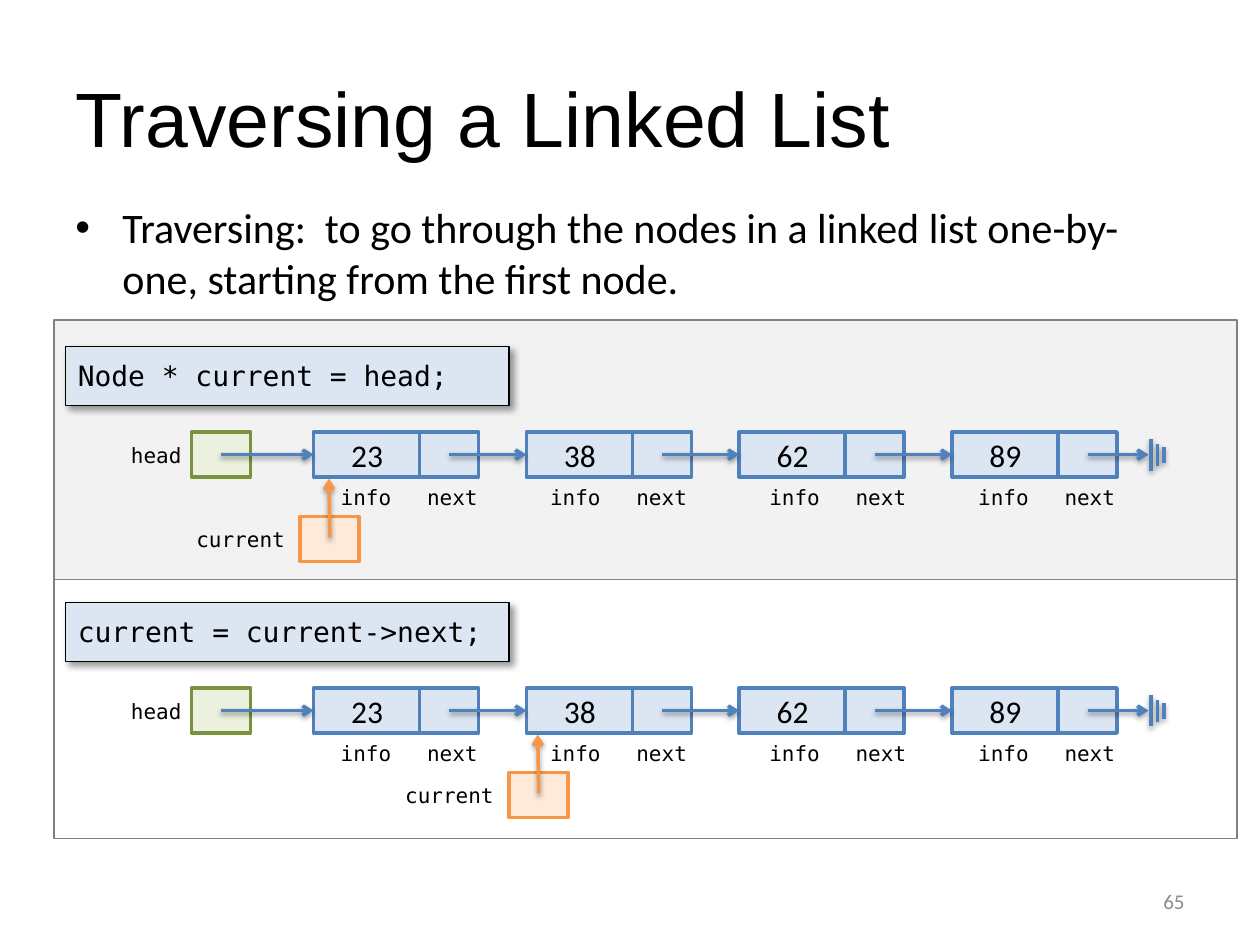
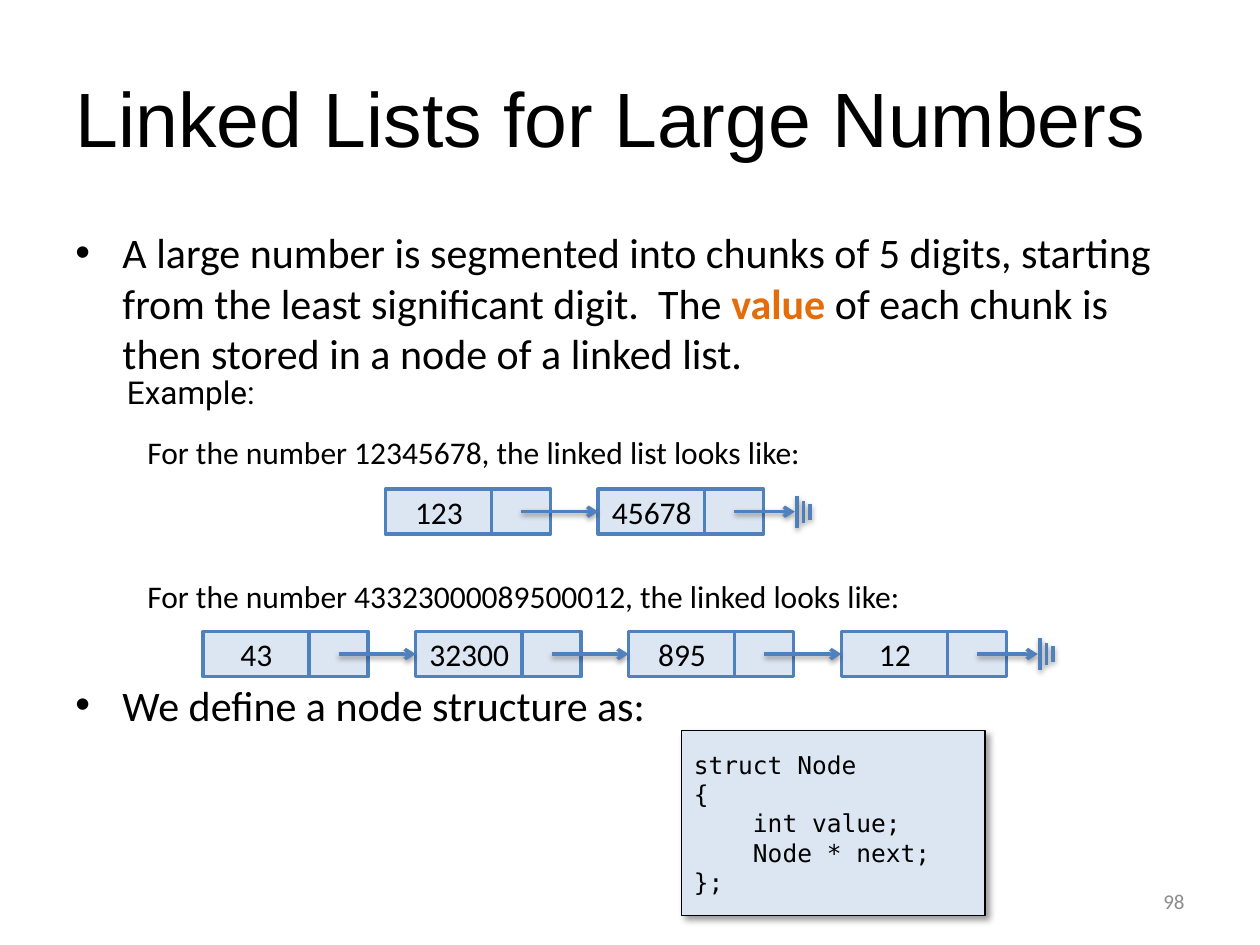
from lxml import etree
from pptx import Presentation
from pptx.dml.color import RGBColor
from pptx.enum.shapes import MSO_CONNECTOR, MSO_SHAPE
from pptx.enum.text import MSO_ANCHOR, PP_ALIGN
from pptx.oxml.ns import qn
from pptx.util import Cm, Pt

RECTANGLE, STRAIGHT = MSO_SHAPE.RECTANGLE, MSO_CONNECTOR.STRAIGHT
TOP, MIDDLE = MSO_ANCHOR.TOP, MSO_ANCHOR.MIDDLE
LEFT, CENTER, RIGHT = PP_ALIGN.LEFT, PP_ALIGN.CENTER, PP_ALIGN.RIGHT

BLACK = RGBColor(0x00, 0x00, 0x00)
GREY = RGBColor(0x80, 0x80, 0x80)
NUMBER_GREY = RGBColor(0x8C, 0x8C, 0x8C)
PANEL_GREY = RGBColor(0xF2, 0xF2, 0xF2)
BLUE = RGBColor(0x4F, 0x81, 0xBD)
PALE_BLUE = RGBColor(0xDC, 0xE6, 0xF2)
GREEN = RGBColor(0x77, 0x93, 0x3C)
PALE_GREEN = RGBColor(0xEB, 0xF1, 0xDE)
ORANGE = RGBColor(0xF7, 0x96, 0x46)
PALE_ORANGE = RGBColor(0xFD, 0xEA, 0xDA)
DARK_ORANGE = RGBColor(0xE4, 0x6C, 0x0A)

BODY_FONT, TITLE_FONT = "Calibri", "Arial"
CODE_FONT, EXAMPLE_FONT = "DejaVu Sans Mono", "Roboto"

# Shadows: opacity in percent, blur and distance in points, angle in degrees
LINE_SHADOW = (38, 3.1, 1.6, 90)
CODE_SHADOW = (40, 4, 3, 45)

# Node geometry in centimetres
NODE_PITCH = 4.29
INFO_WIDTH, POINTER_WIDTH, CELL_HEIGHT = 2.16, 1.19, 0.91
POINTER_OFFSET = 2.14
ARROW_OFFSET = 2.74


def add_bullet(paragraph):
    props = paragraph._p.get_or_add_pPr()
    props.set("marL", str(Cm(0.95)))
    props.set("indent", str(-Cm(0.95)))
    colour = etree.SubElement(props, qn("a:buClr"))
    etree.SubElement(colour, qn("a:srgbClr"), val=str(BLACK))
    etree.SubElement(props, qn("a:buFont"), typeface="Arial")
    etree.SubElement(props, qn("a:buChar"), char="•")


def write_text(frame, text, size=18, font=BODY_FONT, color=BLACK, align=LEFT,
               anchor=TOP, bullet=False, gap=0):
    """Fill a frame; a line is a string or a list of (words, accent colour)."""
    frame.word_wrap = True
    frame.vertical_anchor = anchor
    lines = [text] if isinstance(text, str) else text
    for index, line in enumerate(lines):
        paragraph = frame.paragraphs[0] if index == 0 else frame.add_paragraph()
        if bullet:
            add_bullet(paragraph)
        paragraph.alignment = align
        paragraph.space_before = Pt(gap if index else 0)
        for words, accent in [(line, None)] if isinstance(line, str) else line:
            run = paragraph.add_run()
            run.text = words
            run.font.size = Pt(size)
            run.font.name = font
            run.font.bold = accent is not None
            run.font.color.rgb = accent or color


def fill_shadow(effects, opacity, blur, distance, angle):
    shadow = etree.SubElement(
        effects, qn("a:outerShdw"), blurRad=str(Pt(blur)), dist=str(Pt(distance)),
        dir=str(angle * 60000), rotWithShape="0")
    colour = etree.SubElement(shadow, qn("a:srgbClr"), val=str(BLACK))
    etree.SubElement(colour, qn("a:alpha"), val=str(opacity * 1000))


class Deck:
    def __init__(self):
        self.prs = Presentation()
        self.prs.slide_width, self.prs.slide_height = Cm(25.4), Cm(19.05)
        self.shapes = None

    def new_slide(self, title, number):
        slide = self.prs.slides.add_slide(self.prs.slide_layouts[5])
        self.shapes = slide.shapes
        heading = self.shapes.title
        heading.left, heading.top = Cm(1.27), Cm(0.76)
        heading.width, heading.height = Cm(22.86), Cm(3.18)
        write_text(heading.text_frame, title, size=44, font=TITLE_FONT, anchor=MIDDLE)
        self.text(18.21, 17.65, 5.92, 1.02, str(number), size=12,
                  color=NUMBER_GREY, align=RIGHT, anchor=MIDDLE)

    def text(self, x, y, width, height, words, **style):
        box = self.shapes.add_textbox(Cm(x), Cm(y), Cm(width), Cm(height))
        write_text(box.text_frame, words, **style)

    def label(self, x, y, words, width=1.6):
        self.text(x, y, width, 0.76, words, size=12, font=CODE_FONT)

    def box(self, x, y, width, height, fill, line, weight=2.0, words=None, **style):
        shape = self.shapes.add_shape(RECTANGLE, Cm(x), Cm(y), Cm(width), Cm(height))
        if fill is None:
            shape.fill.background()
        else:
            shape.fill.solid()
            shape.fill.fore_color.rgb = fill
        shape.line.color.rgb = line
        shape.line.width = Pt(weight)
        shape.shadow.inherit = False
        if words:
            write_text(shape.text_frame, words, anchor=MIDDLE, **style)
        return shape

    def code(self, x, y, width, height, lines, size):
        shape = self.box(x, y, width, height, PALE_BLUE, BLACK, 0.75, lines,
                         size=size, font=CODE_FONT)
        fill_shadow(shape._element.spPr.find(qn("a:effectLst")), *CODE_SHADOW)

    def line(self, x1, y1, x2, y2, color=BLUE, arrow=True):
        link = self.shapes.add_connector(STRAIGHT, Cm(x1), Cm(y1), Cm(x2), Cm(y2))
        link.line.color.rgb = color
        link.line.width = Pt(2)
        props = link._element.spPr
        if arrow:
            etree.SubElement(props.find(qn("a:ln")), qn("a:tailEnd"), type="arrow")
        fill_shadow(etree.SubElement(props, qn("a:effectLst")), *LINE_SHADOW)

    def chain(self, x, y, values):
        """Draw linked nodes from left to right, closed by a ground symbol."""
        middle = y + CELL_HEIGHT / 2
        lefts = [x + i * NODE_PITCH for i in range(len(values))]
        for left, value in zip(lefts, values):
            self.box(left, y, INFO_WIDTH, CELL_HEIGHT, PALE_BLUE, BLUE,
                     words=value, align=CENTER)
            self.box(left + POINTER_OFFSET, y, POINTER_WIDTH, CELL_HEIGHT,
                     PALE_BLUE, BLUE)
        ground = lefts[-1] + 4.01
        for left, target in zip(lefts, lefts[1:] + [ground - 0.05]):
            self.line(left + ARROW_OFFSET, middle, target, middle)
        for i, length in enumerate((0.64, 0.44, 0.32)):
            bar = ground + i * 0.13
            self.line(bar, middle - length / 2, bar, middle + length / 2, arrow=False)

    def pointer_box(self, x, y, fill, line):
        self.box(x, y, POINTER_WIDTH, CELL_HEIGHT, fill, line)


def traversal_step(deck, y, statement, current_x):
    """One statement and the list after it; y is the top of the nodes."""
    deck.code(1.32, y - 1.73, 8.94, 1.19, statement, size=16)
    first = 6.32
    deck.chain(first, y, ("23", "38", "62", "89"))

    # Head pointer
    middle = y + CELL_HEIGHT / 2
    deck.pointer_box(3.86, y, PALE_GREEN, GREEN)
    deck.line(4.45, middle, first, middle)
    deck.label(2.39, y + 0.08, "head")

    # Field names under the nodes
    for i, shift in enumerate((0.3, 0.23, 0.36, 0.28)):
        info_x = first + i * NODE_PITCH + shift
        deck.label(info_x, y + 0.94, "info")
        deck.label(info_x + 1.74, y + 0.94, "next")

    # Current pointer
    deck.pointer_box(current_x, y + 1.7, PALE_ORANGE, ORANGE)
    deck.label(current_x - 2.34, y + 1.78, "current", width=2.31)
    deck.line(current_x + 0.6, y + 2.12, current_x + 0.58, y + 0.94, color=ORANGE)


def traversing_slide(deck):
    deck.new_slide("Traversing a Linked List", 65)
    deck.text(1.27, 3.94, 22.86, 2.4,
              "Traversing:  to go through the nodes in a linked list one-by-one, "
              "starting from the first node.", size=24, bullet=True)
    for y, fill in ((11.68, None), (6.45, PANEL_GREY)):
        deck.box(1.09, y, 23.85, 5.23, fill, GREY, 0.75)
    traversal_step(deck, 8.71, "Node * current = head;", 6.05)
    traversal_step(deck, 13.87, "current = current->next;", 10.26)


def large_numbers_slide(deck):
    deck.new_slide("Linked Lists for Large Numbers", 98)
    deck.text(1.27, 4.45, 22.86, 12.57, [
        [("A large number is segmented into chunks of 5 digits, starting from "
          "the least significant digit.  The ", None),
         ("value ", DARK_ORANGE),
         ("of each chunk is then stored in a node of a linked list.", None)],
        "We define a node structure as:",
    ], size=24, bullet=True, gap=172)

    # Examples
    deck.text(2.31, 7.39, 3.45, 1.02, "Example:", font=EXAMPLE_FONT)
    deck.text(2.72, 8.61, 16, 1.02,
              "For the number 12345678, the linked list looks like:")
    deck.chain(7.77, 9.86, ("123", "45678"))
    deck.text(2.72, 11.51, 16, 1.02,
              "For the number 43323000089500012, the linked looks like:")
    deck.chain(4.09, 12.73, ("43", "32300", "895", "12"))

    # Node structure
    deck.code(13.74, 14.73, 6.12, 3.73, [
        "struct Node",
        "{",
        "    int value;",
        "    Node * next;",
        "};",
    ], size=14)


def main():
    deck = Deck()
    traversing_slide(deck)
    large_numbers_slide(deck)
    deck.prs.save("out.pptx")


if __name__ == "__main__":
    main()
